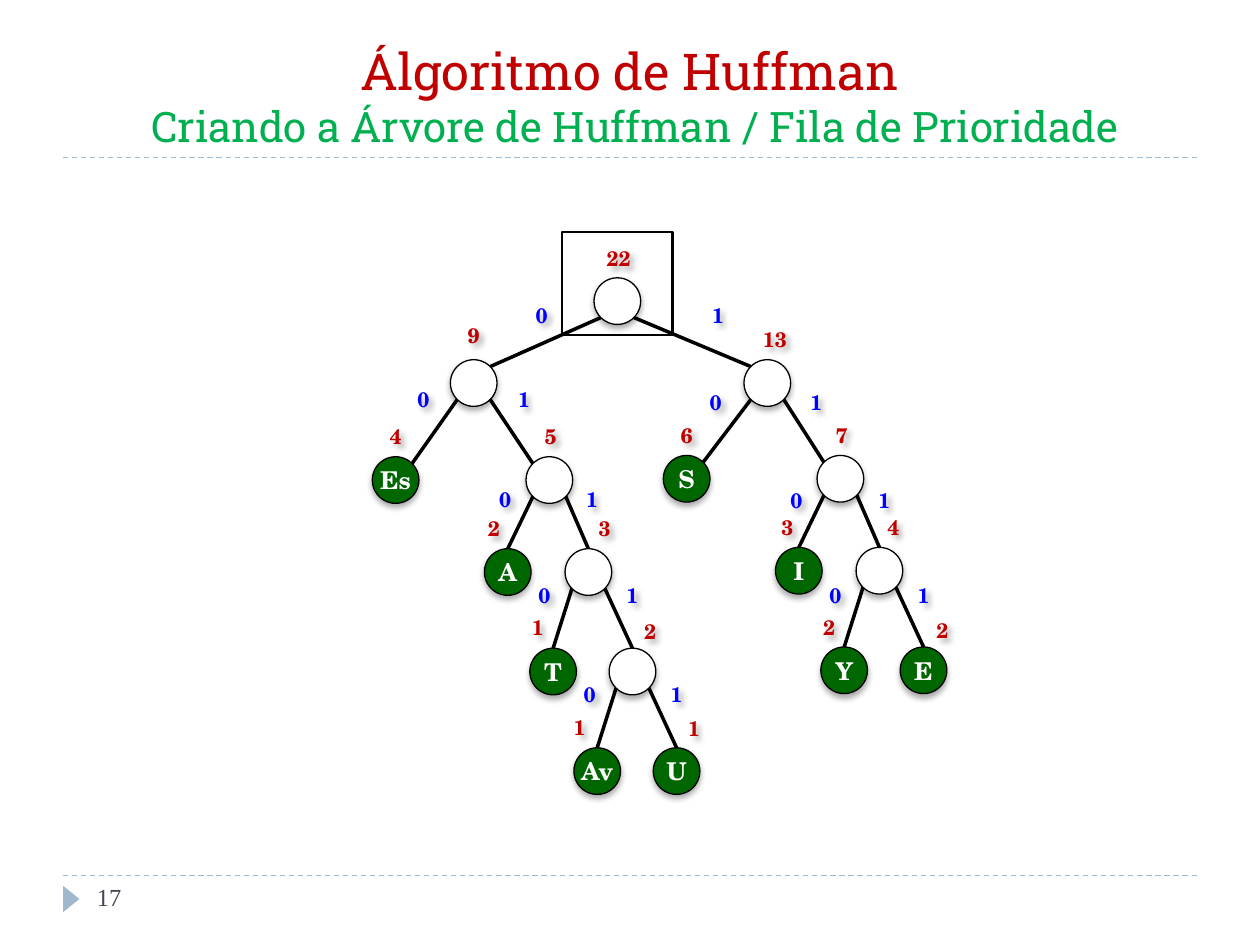
from lxml import etree
from pptx import Presentation
from pptx.dml.color import RGBColor
from pptx.enum.dml import MSO_LINE
from pptx.enum.shapes import MSO_CONNECTOR, MSO_SHAPE
from pptx.enum.text import MSO_ANCHOR, MSO_AUTO_SIZE, PP_ALIGN
from pptx.oxml.ns import qn
from pptx.util import Inches, Pt

STRAIGHT = MSO_CONNECTOR.STRAIGHT
ELLIPSE, RECTANGLE, TRIANGLE = MSO_SHAPE.OVAL, MSO_SHAPE.RECTANGLE, MSO_SHAPE.ISOSCELES_TRIANGLE
CENTER, LEFT = PP_ALIGN.CENTER, PP_ALIGN.LEFT
MIDDLE, TOP, BOTTOM = MSO_ANCHOR.MIDDLE, MSO_ANCHOR.TOP, MSO_ANCHOR.BOTTOM

THEME = {
    "title": ("Roboto Slab", 29, "C00000"),
    "subtitle": ("Roboto Slab", 24, "00B050"),
    "number": ("Times New Roman", 14, "464653"),
    "weight": ("TeX Gyre Schola", 12, "C00000"),
    "bit": ("TeX Gyre Schola", 12, "0000FF"),
    "symbol": ("TeX Gyre Schola", 14, "FFFFFF"),
    "leaf": "006600",
    "inner": "FFFFFF",
    "edge": "000000",
    "accent": "9FB8CD",
}
SLIDE_WIDTH, SLIDE_HEIGHT, MARGIN = 10, 7.5, 0.5
RULES = (1.25, 6.95)
RADIUS, CORNER = 0.185, 0.13
LABEL_WIDTH, LABEL_HEIGHT = 0.6, 0.3

# name: centre, weight, weight offset, symbol, parent, bit, bit offset from parent
NODES = {
    "root": ((4.9, 2.39), 22, (0.01, -0.34), "", None, None, None),
    "left": ((3.76, 3.04), 9, (0, -0.38), "", "root", 0, (-0.6, 0.11)),
    "right": ((6.09, 3.04), 13, (0.06, -0.35), "", "root", 1, (0.8, 0.11)),
    "Es": ((3.14, 3.81), 4, (0, -0.35), "Es", "left", 0, (-0.4, 0.13)),
    "five": ((4.36, 3.81), 5, (0.01, -0.35), "", "left", 1, (0.4, 0.13)),
    "S": ((5.45, 3.8), 6, (0, -0.35), "S", "right", 0, (-0.41, 0.15)),
    "seven": ((6.67, 3.8), 7, (0.01, -0.35), "", "right", 1, (0.39, 0.15)),
    "A": ((4.03, 4.54), 2, (-0.11, -0.35), "A", "five", 0, (-0.35, 0.15)),
    "three": ((4.67, 4.54), 3, (0.13, -0.35), "", "five", 1, (0.34, 0.15)),
    "I": ((6.34, 4.53), 3, (-0.09, -0.35), "I", "seven", 0, (-0.35, 0.17)),
    "four": ((6.98, 4.53), 4, (0.11, -0.35), "", "seven", 1, (0.35, 0.17)),
    "T": ((4.39, 5.33), 1, (-0.12, -0.35), "T", "three", 0, (-0.35, 0.18)),
    "two": ((5.02, 5.33), 2, (0.14, -0.32), "", "three", 1, (0.35, 0.18)),
    "Y": ((6.7, 5.32), 2, (-0.12, -0.34), "Y", "four", 0, (-0.35, 0.19)),
    "E": ((7.33, 5.32), 2, (0.15, -0.32), "E", "four", 1, (0.35, 0.19)),
    "Av": ((4.74, 6.12), 1, (-0.14, -0.35), "Av", "two", 0, (-0.34, 0.18)),
    "U": ((5.37, 6.12), 1, (0.14, -0.34), "U", "two", 1, (0.35, 0.18)),
}


def write(shape, text, style, align=CENTER, anchor=MIDDLE, bold=True):
    frame = shape.text_frame
    frame.word_wrap, frame.vertical_anchor = True, anchor
    paragraph = frame.paragraphs[0]
    paragraph.text, paragraph.alignment = text, align
    name, size, color = THEME[style]
    paragraph.font.name, paragraph.font.size, paragraph.font.bold = name, Pt(size), bold
    paragraph.font.color.rgb = RGBColor.from_string(color)
    return frame


def add_effects(shape, distance=None, degrees=90):
    """Give the shape a soft shadow, or an empty effect list without a distance."""
    effects = etree.SubElement(shape._element.spPr, qn("a:effectLst"))
    if distance:
        shadow = etree.SubElement(effects, qn("a:outerShdw"), blurRad=str(Pt(3.5)),
                                  dist=str(Pt(distance)), dir=str(degrees * 60000), rotWithShape="0")
        color = etree.SubElement(shadow, qn("a:srgbClr"), val="000000")
        etree.SubElement(color, qn("a:alpha"), val="32000")


presentation = Presentation()
presentation.slide_width, presentation.slide_height = Inches(SLIDE_WIDTH), Inches(SLIDE_HEIGHT)
slide = presentation.slides.add_slide(presentation.slide_layouts[5])
shapes = slide.shapes

# Title
title = shapes.title
title.left, title.top = Inches(MARGIN), Inches(0.25)
title.width, title.height = Inches(SLIDE_WIDTH - 2 * MARGIN), Inches(1)
title.text_frame.vertical_anchor = BOTTOM
title.text_frame.auto_size = MSO_AUTO_SIZE.NONE
paragraph = title.text_frame.paragraphs[0]
paragraph.alignment = CENTER
for text, style in (("Álgoritmo de Huffman", "title"),
                    (" Criando a Árvore de Huffman / Fila de Prioridade", "subtitle")):
    if paragraph.runs:
        paragraph.add_line_break()
    run = paragraph.add_run()
    run.text = text
    name, size, color = THEME[style]
    run.font.name, run.font.size = name, Pt(size)
    run.font.color.rgb = RGBColor.from_string(color)

# Dashed rules and page number
for y in RULES:
    rule = shapes.add_connector(STRAIGHT, Inches(MARGIN), Inches(y),
                                Inches(SLIDE_WIDTH - MARGIN), Inches(y))
    rule.line.color.rgb = RGBColor.from_string(THEME["accent"])
    rule.line.width, rule.line.dash_style = Pt(0.75), MSO_LINE.DASH
    add_effects(rule)

marker = shapes.add_shape(TRIANGLE, Inches(0.46), Inches(7.07), Inches(0.21), Inches(0.13))
marker.rotation, marker.shadow.inherit = 90, False
marker.fill.solid()
marker.fill.fore_color.rgb = RGBColor.from_string(THEME["accent"])
marker.line.fill.background()
number = shapes.add_textbox(Inches(0.67), Inches(RULES[1]), Inches(2.17), Inches(0.4))
write(number, "17", "number", LEFT, TOP, False)

# Frame around the root
frame_box = shapes.add_shape(RECTANGLE, Inches(4.46), Inches(1.84), Inches(0.88), Inches(0.82))
frame_box.shadow.inherit = False
frame_box.fill.background()
frame_box.line.color.rgb = RGBColor.from_string(THEME["edge"])
frame_box.line.width = Pt(1.5)

# Edges: the two upper levels meet the child at its corner, the lower ones at its top
for (x, y), _, _, _, parent, bit, _ in NODES.values():
    if parent is None:
        continue
    side = 1 if bit else -1
    parent_x, parent_y = NODES[parent][0]
    if parent in ("root", "left", "right"):
        end_x, end_y = x - side * CORNER, y - CORNER
    else:
        end_x, end_y = x, y - RADIUS
    edge = shapes.add_connector(STRAIGHT, Inches(parent_x + side * CORNER),
                                Inches(parent_y + CORNER), Inches(end_x), Inches(end_y))
    edge.line.color.rgb = RGBColor.from_string(THEME["edge"])
    edge.line.width = Pt(2)
    add_effects(edge)

# Nodes with their weights and bits
for (x, y), weight, weight_offset, symbol, parent, bit, bit_offset in NODES.values():
    node = shapes.add_shape(ELLIPSE, Inches(x - RADIUS), Inches(y - RADIUS),
                            Inches(2 * RADIUS), Inches(2 * RADIUS))
    node.fill.solid()
    node.fill.fore_color.rgb = RGBColor.from_string(THEME["leaf" if symbol else "inner"])
    node.line.color.rgb = RGBColor.from_string(THEME["edge"])
    node.line.width = Pt(0.75)
    add_effects(node, 2.2)
    if symbol:
        frame = write(node, symbol, "symbol")
        frame.margin_left = frame.margin_right = frame.margin_top = frame.margin_bottom = 0
        frame.word_wrap = False

    labels = [(weight, "weight", (x, y), weight_offset)]
    if parent:
        labels.append((bit, "bit", NODES[parent][0], bit_offset))
    for value, style, (origin_x, origin_y), (shift_x, shift_y) in labels:
        label = shapes.add_textbox(Inches(origin_x + shift_x - LABEL_WIDTH / 2),
                                   Inches(origin_y + shift_y - LABEL_HEIGHT / 2),
                                   Inches(LABEL_WIDTH), Inches(LABEL_HEIGHT))
        write(label, str(value), style)
        add_effects(label, 3, 45)

presentation.save("out.pptx")
